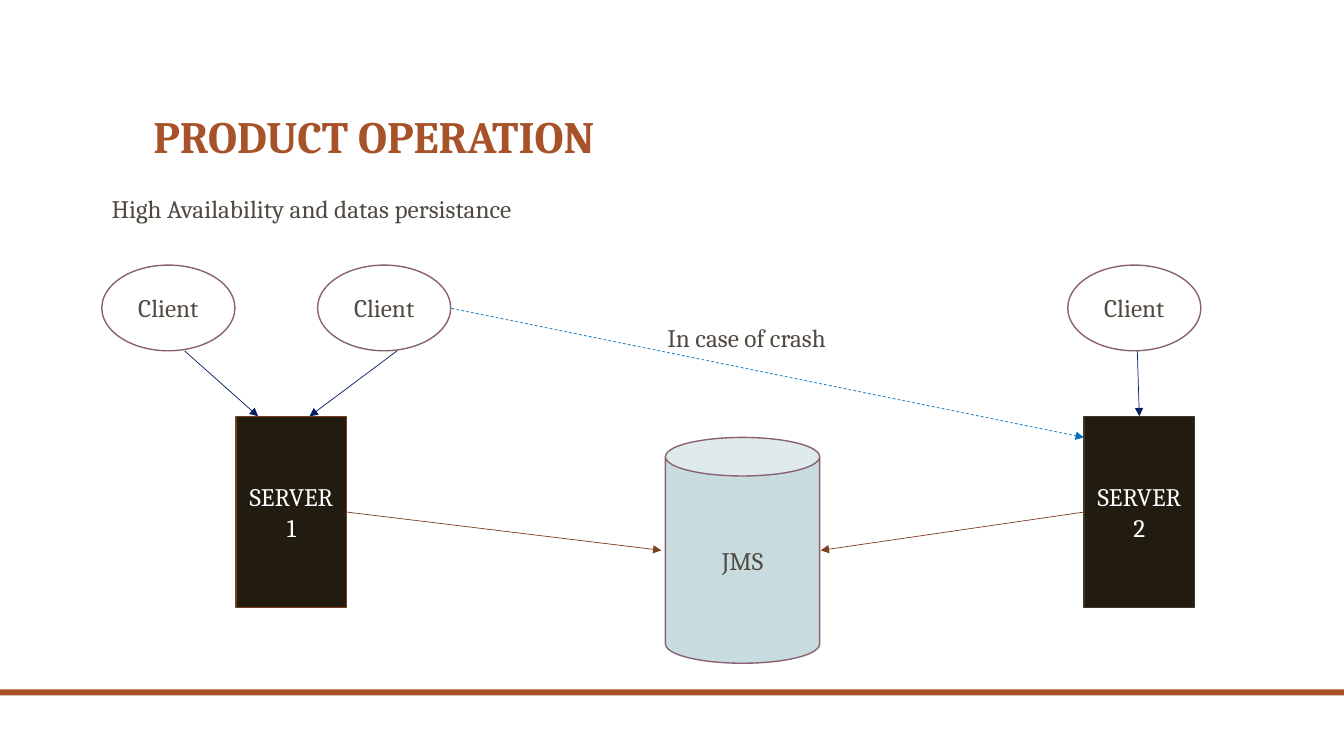
import pptx
import pptx.dml.color
import pptx.enum.dml
import pptx.enum.shapes
import pptx.enum.text
import pptx.oxml
import pptx.oxml.ns
import pptx.util

Inches = pptx.util.Inches
Pt = pptx.util.Pt
SHAPES = pptx.enum.shapes.MSO_SHAPE
ALIGN = pptx.enum.text.PP_ALIGN
ANCHOR = pptx.enum.text.MSO_ANCHOR

FONT = "Cambria"
RUST, TEXT, WHITE = "A85229", "514A40", "FFFFFF"
PLUM, DARK = "896170", "211B10"
NAVY, BLUE, BROWN = "002060", "0070C0", "7E3E1F"

# Rows and sizes shared by the diagram's parts
CLIENT_TOP, CLIENT_WIDTH, CLIENT_HEIGHT = 2.63, 1.32, 0.85
CLIENT_BOTTOM = CLIENT_TOP + CLIENT_HEIGHT
SERVER_TOP, SERVER_WIDTH, SERVER_HEIGHT = 4.13, 1.1, 1.9
SERVER_MIDDLE = SERVER_TOP + SERVER_HEIGHT / 2
STORE_ARROW_Y = 5.46


def color(value):
    return pptx.dml.color.RGBColor.from_string(value)


def write(frame, text, size=18, ink=TEXT, bold=False, align=ALIGN.LEFT):
    """Fill a text frame with one formatted run."""
    frame.word_wrap = True
    paragraph = frame.paragraphs[0]
    paragraph.alignment = align
    run = paragraph.add_run()
    run.text = text
    run.font.name = FONT
    run.font.size = Pt(size)
    run.font.bold = bold
    run.font.color.rgb = color(ink)
    return paragraph


def add_title(slide, text):
    title = slide.shapes.title
    title.left, title.top = Inches(1.42), Inches(0.42)
    title.width, title.height = Inches(10.5), Inches(1.25)
    title.text_frame.vertical_anchor = ANCHOR.BOTTOM
    paragraph = write(title.text_frame, text, size=32, ink=RUST, bold=True)
    paragraph.line_spacing = 0.9


def add_label(slide, text, left, top, width):
    box = slide.shapes.add_textbox(
        Inches(left), Inches(top), Inches(width), Inches(0.4))
    write(box.text_frame, text)


def add_node(slide, kind, box, fill, line=None, text=None, ink=TEXT):
    """Add a filled shape; box is left, top, width, height in inches."""
    shape = slide.shapes.add_shape(kind, *[Inches(length) for length in box])
    shape.shadow.inherit = False
    shape.fill.solid()
    shape.fill.fore_color.rgb = color(fill)
    if line:
        shape.line.color.rgb = color(line)
        shape.line.width = Pt(1)
    else:
        shape.line.fill.background()
    if text:
        shape.text_frame.vertical_anchor = ANCHOR.MIDDLE
        write(shape.text_frame, text, ink=ink, align=ALIGN.CENTER)
    return shape


def add_client(slide, left):
    box = (left, CLIENT_TOP, CLIENT_WIDTH, CLIENT_HEIGHT)
    return add_node(slide, SHAPES.OVAL, box, WHITE, PLUM, "Client")


def add_server(slide, left, text, line):
    box = (left, SERVER_TOP, SERVER_WIDTH, SERVER_HEIGHT)
    return add_node(slide, SHAPES.RECTANGLE, box, DARK, line, text, WHITE)


def add_arrow(slide, start, end, ink, dashed=False):
    connector = slide.shapes.add_connector(
        pptx.enum.shapes.MSO_CONNECTOR.STRAIGHT,
        *[Inches(length) for length in start + end])
    connector.line.color.rgb = color(ink)
    connector.line.width = Pt(0.5)
    if dashed:
        connector.line.dash_style = pptx.enum.dml.MSO_LINE.DASH
    # Arrowhead, and an empty effect list to drop the shadow
    namespace = pptx.oxml.ns.nsdecls("a")
    connector.line._get_or_add_ln().append(
        pptx.oxml.parse_xml(f'<a:tailEnd {namespace} type="triangle"/>'))
    connector._element.spPr.append(
        pptx.oxml.parse_xml(f"<a:effectLst {namespace}/>"))
    return connector


def main():
    presentation = pptx.Presentation()
    presentation.slide_width = Inches(13.33)
    presentation.slide_height = Inches(7.5)
    slide = presentation.slides.add_slide(presentation.slide_layouts[5])

    # Footer bar and headings
    add_node(slide, SHAPES.RECTANGLE, (0, 6.84, 13.33, 0.06), RUST)
    add_title(slide, "PRODUCT OPERATION")
    add_label(slide, "High Availability and datas persistance", 1.01, 1.87, 6.34)

    # Clients, message store and servers
    for left in (1.01, 3.15, 10.59):
        add_client(slide, left)
    add_node(slide, SHAPES.CAN, (6.6, 4.34, 1.53, 2.24), "C8DCE0", PLUM, "JMS")
    server_1 = add_server(slide, 2.34, "SERVER 1", "7C3D1E")
    server_2 = add_server(slide, 10.75, "SERVER 2", "3C372F")

    # Clients to servers
    add_arrow(slide, (1.83, CLIENT_BOTTOM), (2.56, SERVER_TOP), NAVY)
    add_arrow(slide, (3.94, CLIENT_BOTTOM), (3.07, SERVER_TOP), NAVY)
    client_link = add_arrow(
        slide, (11.28, CLIENT_BOTTOM), (11.3, SERVER_TOP), NAVY)
    client_link.end_connect(server_2, 0)

    # Servers to the message store
    store_link_1 = add_arrow(
        slide, (3.44, SERVER_MIDDLE), (6.56, STORE_ARROW_Y), BROWN)
    store_link_1.begin_connect(server_1, 3)
    store_link_2 = add_arrow(
        slide, (10.75, SERVER_MIDDLE), (8.14, STORE_ARROW_Y), BROWN)
    store_link_2.begin_connect(server_2, 1)

    # Failover route
    add_arrow(slide, (4.48, 3.06), (10.75, 4.34), BLUE, dashed=True)
    add_label(slide, "In case of crash", 6.52, 3.15, 2.03)

    presentation.save("out.pptx")


if __name__ == "__main__":
    main()
